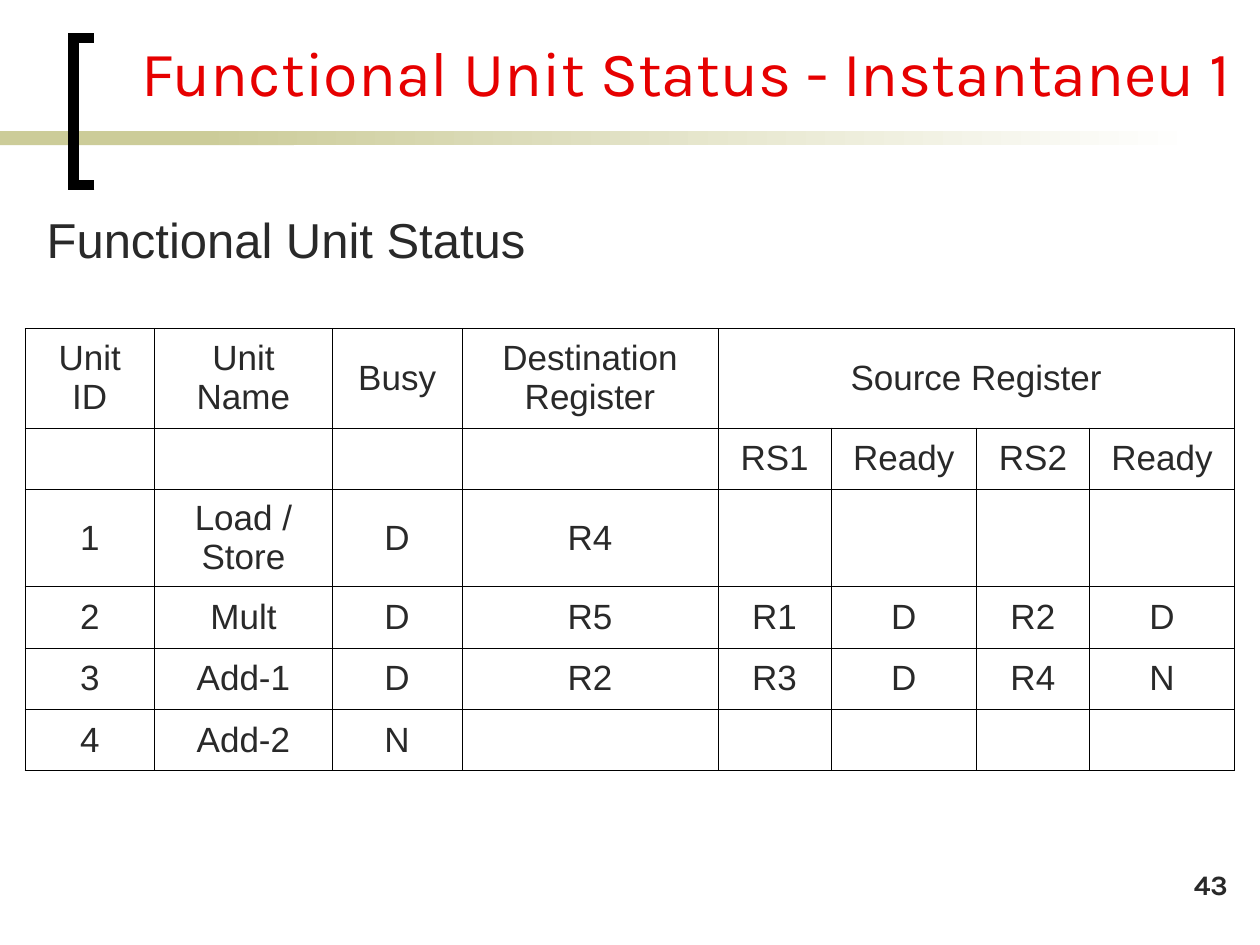
from lxml.etree import SubElement
from pptx import Presentation
from pptx.dml.color import RGBColor
from pptx.enum.shapes import MSO_SHAPE
from pptx.enum.text import MSO_ANCHOR, MSO_AUTO_SIZE, PP_ALIGN
from pptx.oxml import parse_xml
from pptx.oxml.ns import nsdecls, qn
from pptx.util import Pt

RED = RGBColor(0xE6, 0x00, 0x00)
INK = RGBColor(0x29, 0x29, 0x29)
KHAKI = RGBColor(0xCC, 0xCC, 0x99)
BLACK = RGBColor(0x00, 0x00, 0x00)
WHITE = RGBColor(0xFF, 0xFF, 0xFF)

TITLE = dict(name="Karla", size=Pt(36), color=RED)
HEADING = dict(name="Arial", size=Pt(28), color=INK)
CELL = dict(name="Arial", size=Pt(20), color=INK)
PAGE = dict(name="Karla", size=Pt(16), color=INK, bold=True)

COLUMN_WIDTHS = [74.2, 101.5, 74.2, 146.2, 64.8, 82.8, 64.8, 82.8]
ROW_HEIGHTS = [56.7, 35.1, 55.6, 35.1, 35.1, 35.1]
UNIT_ROWS = [
    ["Unit ID", "Unit Name", "Busy", "Destination Register", "Source Register", "", "", ""],
    ["", "", "", "", "RS1", "Ready", "RS2", "Ready"],
    ["1", "Load / Store", "D", "R4", "", "", "", ""],
    ["2", "Mult", "D", "R5", "R1", "D", "R2", "D"],
    ["3", "Add-1", "D", "R2", "R3", "D", "R4", "N"],
    ["4", "Add-2", "N", "", "", "", "", ""],
]


class SlideBuilder:
    """Holds the slide and the border width; all lengths are in points."""

    def __init__(self, slide, border=0.45):
        self.slide = slide
        self.shapes = slide.shapes
        self.border = border

    def fill_text(self, frame, text, style, align=PP_ALIGN.LEFT):
        paragraph = frame.paragraphs[0]
        paragraph.alignment = align
        run = paragraph.add_run()
        run.text = text
        for key, value in style.items():
            if key == "color":
                run.font.color.rgb = value
            else:
                setattr(run.font, key, value)

    def title(self, text, left, top, width, height):
        title = self.shapes.title
        box = dict(left=left, top=top, width=width, height=height)
        for key, value in box.items():
            setattr(title, key, Pt(value))
        frame = title.text_frame
        frame.auto_size = MSO_AUTO_SIZE.NONE
        frame.vertical_anchor = MSO_ANCHOR.BOTTOM
        self.fill_text(frame, text, TITLE)

    def text(self, text, style, left, top, width, height, align=PP_ALIGN.LEFT):
        box = self.shapes.add_textbox(Pt(left), Pt(top), Pt(width), Pt(height))
        box.text_frame.word_wrap = True
        self.fill_text(box.text_frame, text, style, align)

    def bar(self, left, top, width, height, start, end=None):
        """Draw a borderless bar, fading from start to end if end is given."""
        bar = self.shapes.add_shape(
            MSO_SHAPE.RECTANGLE, Pt(left), Pt(top), Pt(width), Pt(height))
        bar.shadow.inherit = False
        bar.line.fill.background()
        if end is None:
            bar.fill.solid()
            bar.fill.fore_color.rgb = start
            return
        bar.fill.gradient()
        bar.fill.gradient_angle = 0
        for stop, color in zip(bar.fill.gradient_stops, (start, end)):
            stop.color.rgb = color

    def bracket(self, left, top, width, height, weight):
        right, bottom = left + width, top + height
        pen = self.shapes.build_freeform(Pt(right), Pt(bottom))
        corners = [(left, bottom), (left, top), (right, top)]
        pen.add_line_segments([(Pt(x), Pt(y)) for x, y in corners], close=False)
        bracket = pen.convert_to_shape()
        bracket.shadow.inherit = False
        bracket.fill.background()
        bracket.line.color.rgb = BLACK
        bracket.line.width = Pt(weight)
        line = bracket.element.spPr.find(qn("a:ln"))
        SubElement(line, qn("a:miter"), lim="800000")

    def outline(self, cell):
        properties = cell._tc.get_or_add_tcPr()
        for side in ("lnL", "lnR", "lnT", "lnB"):
            properties.append(parse_xml(
                f'<a:{side} {nsdecls("a")} w="{Pt(self.border)}"><a:solidFill>'
                f'<a:srgbClr val="{BLACK}"/></a:solidFill></a:{side}>'))

    def table(self, rows, left, top, widths, heights):
        table = self.shapes.add_table(
            len(rows), len(widths), Pt(left), Pt(top),
            Pt(sum(widths)), Pt(sum(heights))).table
        table.first_row = table.horz_banding = False
        for column, width in zip(table.columns, widths):
            column.width = Pt(width)
        for row, height in zip(table.rows, heights):
            row.height = Pt(height)
        for r, values in enumerate(rows):
            for c, value in enumerate(values):
                cell = table.cell(r, c)
                self.outline(cell)
                cell.fill.background()
                cell.vertical_anchor = MSO_ANCHOR.MIDDLE
                if value:
                    self.fill_text(cell.text_frame, value, CELL, PP_ALIGN.CENTER)
        return table


def main():
    presentation = Presentation()
    presentation.slide_width, presentation.slide_height = Pt(720), Pt(540)
    title_only = presentation.slide_layouts[5]
    builder = SlideBuilder(presentation.slides.add_slide(title_only))

    builder.bar(0, 75, 168, 8, KHAKI)
    builder.bar(114, 75, 570, 8, KHAKI, WHITE)
    builder.bracket(42, 21.6, 12, 84, weight=6)
    builder.title("Functional Unit Status - Instantaneu 1", 73.6, 8, 646.4, 58)
    units = builder.table(UNIT_ROWS, 14.2, 187.8, COLUMN_WIDTHS, ROW_HEIGHTS)
    units.cell(0, 4).merge(units.cell(0, 7))
    builder.text("Functional Unit Status", HEADING, 19.6, 116, 323, 41)
    builder.text("43", PAGE, 558.7, 492, 150, 36, PP_ALIGN.RIGHT)

    presentation.save("out.pptx")


if __name__ == "__main__":
    main()
